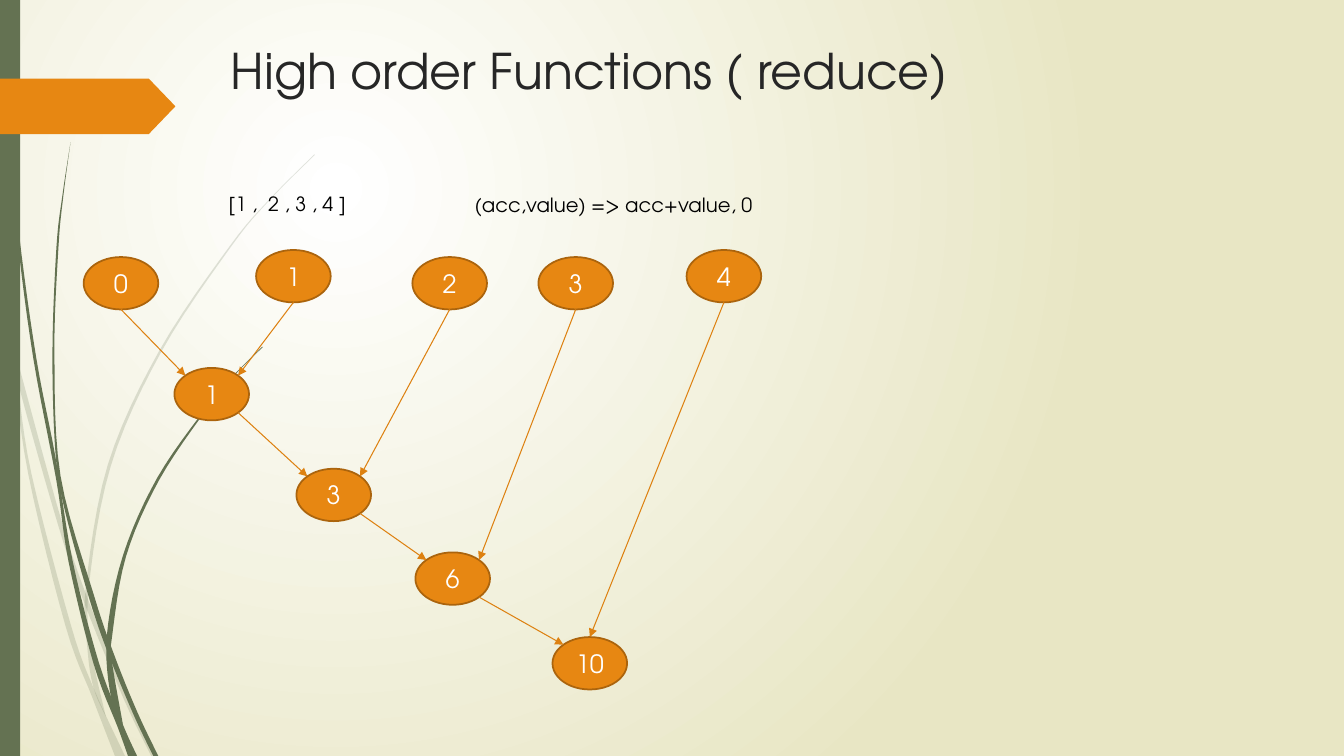
from dataclasses import dataclass
from math import sqrt

from lxml import etree
from pptx import Presentation
from pptx.dml.color import RGBColor
from pptx.enum.shapes import MSO_CONNECTOR, MSO_SHAPE
from pptx.enum.text import MSO_ANCHOR, PP_ALIGN
from pptx.oxml.ns import qn
from pptx.util import Inches, Pt

RECTANGLE, OVAL, PENTAGON = MSO_SHAPE.RECTANGLE, MSO_SHAPE.OVAL, MSO_SHAPE.PENTAGON
STRAIGHT = MSO_CONNECTOR.STRAIGHT
LEFT, CENTER = PP_ALIGN.LEFT, PP_ALIGN.CENTER
TOP, MIDDLE = MSO_ANCHOR.TOP, MSO_ANCHOR.MIDDLE
TITLE_ONLY = 5


@dataclass(frozen=True)
class Theme:
    font: str = "TeX Gyre Adventor"
    title_size: float = 35.1
    label_size: float = 14
    node_size: float = 18
    title_color: RGBColor = RGBColor.from_string("262626")
    black: RGBColor = RGBColor.from_string("000000")
    white: RGBColor = RGBColor.from_string("FFFFFF")
    cream: RGBColor = RGBColor.from_string("E8E6C4")
    green: RGBColor = RGBColor.from_string("647252")
    orange: RGBColor = RGBColor.from_string("E78712")
    outline: RGBColor = RGBColor.from_string("AB640D")
    arrow: RGBColor = RGBColor.from_string("DD8111")


THEME = Theme()
NODE_WIDTH, NODE_HEIGHT = 0.74, 0.52
DIAGONAL = sqrt(0.5)

# Sites on a node, as fractions of its half width and half height
SITE_TOP, SITE_BOTTOM = (0, -1), (0, 1)
SITE_TOP_LEFT, SITE_TOP_RIGHT = (-DIAGONAL, -DIAGONAL), (DIAGONAL, -DIAGONAL)
SITE_BOTTOM_RIGHT = (DIAGONAL, DIAGONAL)

INPUTS = [("0", 0.83, 2.55), ("1", 2.54, 2.48), ("2", 4.09, 2.55),
          ("3", 5.34, 2.55), ("4", 6.81, 2.48)]
RESULTS = [("1", 1.73, 3.65), ("3", 2.94, 4.65), ("6", 4.12, 5.48), ("10", 5.48, 6.32)]

# Each stalk is its left edge and its right edge, from tip to root
PALE_STALKS = [
    ([(0, 2.82), (0.11, 3.5), (0.28, 4.7), (0.65, 6.21), (0.92, 6.93), (1.14, 7.5)],
     [(0, 2.82), (0.09, 3.22), (0.17, 3.76), (0.31, 4.69), (0.7, 6.19), (0.93, 6.83),
      (1.24, 7.5)]),
    ([(0.14, 3.45), (0.17, 3.76), (0.58, 5.22), (0.84, 5.99), (1.23, 6.94), (1.5, 7.5)],
     [(0.14, 3.45), (0.62, 5.2), (0.92, 6.07), (1.27, 6.92), (1.55, 7.5)]),
    ([(3.12, 1.53), (2.68, 1.97), (2.28, 2.44), (1.58, 3.48), (1.07, 4.61), (0.85, 5.84),
      (0.87, 6.46), (0.93, 6.83), (1.05, 7.11)],
     [(3.12, 1.54), (2.68, 1.98), (2.29, 2.45), (1.6, 3.49), (1.1, 4.62), (0.88, 5.84),
      (0.91, 6.46), (1.05, 7.11)]),
]
DARK_STALKS = [
    ([(0.03, 0), (0.07, 1.1), (0.17, 2.33), (0.33, 3.55), (0.56, 4.77), (0.68, 5.57),
      (0.93, 6.59), (1.17, 7.22), (1.27, 7.5)],
     [(0.04, 0), (0.08, 1.09), (0.19, 2.32), (0.36, 3.55), (0.55, 4.53), (0.72, 5.56),
      (0.98, 6.57), (1.22, 7.19), (1.36, 7.5)]),
    ([(0.7, 1.41), (0.62, 1.93), (0.56, 2.45), (0.52, 3.49), (0.55, 4.49), (0.64, 5.05),
      (0.88, 5.92), (1.06, 6.45), (1.32, 7.08), (1.52, 7.5)],
     [(0.7, 1.41), (0.63, 1.93), (0.58, 2.45), (0.54, 3.49), (0.6, 4.72), (0.93, 5.9),
      (1.13, 6.49), (1.36, 7.06), (1.57, 7.5)]),
    ([(2.6, 3.44), (2.31, 3.73), (2.04, 4.05), (1.56, 4.74), (1.22, 5.51), (1.06, 6.31),
      (1.1, 6.91), (1.22, 7.19)],
     [(2.61, 3.44), (2.31, 3.74), (2.05, 4.06), (1.58, 4.76), (1.25, 5.52), (1.11, 6.33),
      (1.11, 6.56), (1.22, 7.19)]),
]


def set_background(slide):
    """Fill the slide with a round gradient centred in its upper left quarter."""
    fill = slide.background.fill
    fill.gradient()
    for stop, color in zip(fill.gradient_stops, (THEME.white, THEME.cream)):
        stop.color.rgb = color
    linear = next(slide.background._cSld.iter(qn("a:lin")))
    radial = etree.Element(qn("a:path"), {"path": "circle"})
    etree.SubElement(radial, qn("a:fillToRect"), l="50000", t="50000", r="100000", b="100000")
    linear.getparent().replace(linear, radial)


def smooth_curve(points, steps=6):
    """Return points along a Catmull-Rom curve through the given points."""
    padded = [points[0], *points, points[-1]]
    curve = [points[0]]
    for before, start, end, after in zip(padded, padded[1:], padded[2:], padded[3:]):
        for step in range(1, steps + 1):
            t = step / steps
            curve.append(tuple(
                (2 * b + (c - a) * t + (2 * a - 5 * b + 4 * c - d) * t ** 2
                 + (3 * b - a - 3 * c + d) * t ** 3) / 2
                for a, b, c, d in zip(before, start, end, after)))
    return curve


def paint(shape, color):
    shape.shadow.inherit = False
    shape.fill.solid()
    shape.fill.fore_color.rgb = color
    shape.line.fill.background()


def add_stalk(slide, edges, opacity=100):
    left_edge, right_edge = map(smooth_curve, edges)
    outline = [(Inches(x), Inches(y)) for x, y in left_edge + right_edge[::-1]]
    builder = slide.shapes.build_freeform(*outline[0])
    builder.add_line_segments(outline[1:], close=True)
    stalk = builder.convert_to_shape()
    paint(stalk, THEME.green)
    if opacity < 100:
        color = next(stalk._element.spPr.iter(qn("a:srgbClr")))
        etree.SubElement(color, qn("a:alpha"), val=str(opacity * 1000))


def add_block(slide, preset, left, top, width, height, color):
    block = slide.shapes.add_shape(preset, Inches(left), Inches(top), Inches(width), Inches(height))
    paint(block, color)
    return block


def write(frame, text, size, color, alignment=LEFT, anchor=TOP):
    frame.text = text
    frame.vertical_anchor = anchor
    paragraph = frame.paragraphs[0]
    paragraph.alignment = alignment
    paragraph.font.name = THEME.font
    paragraph.font.size = Pt(size)
    paragraph.font.color.rgb = color


def set_title(slide, text):
    title = slide.shapes.title
    title.left, title.top, title.width, title.height = map(Inches, (2.19, 0.35, 9.38, 0.95))
    write(title.text_frame, text, THEME.title_size, THEME.title_color)


def add_label(slide, text, left, top, width, height):
    label = slide.shapes.add_textbox(Inches(left), Inches(top), Inches(width), Inches(height))
    label.text_frame.word_wrap = True
    write(label.text_frame, text, THEME.label_size, THEME.black)


def add_node(slide, text, left, top):
    node = add_block(slide, OVAL, left, top, NODE_WIDTH, NODE_HEIGHT, THEME.orange)
    node.line.color.rgb = THEME.outline
    node.line.width = Pt(1.25)
    node.text_frame.word_wrap = False
    write(node.text_frame, text, THEME.node_size, THEME.white, CENTER, MIDDLE)
    return node


def site_position(node, site):
    return (round(node.left + node.width * (1 + site[0]) / 2),
            round(node.top + node.height * (1 + site[1]) / 2))


def add_arrow(slide, source, source_site, target, target_site):
    arrow = slide.shapes.add_connector(
        STRAIGHT, *site_position(source, source_site), *site_position(target, target_site))
    arrow.line.color.rgb = THEME.arrow
    arrow.line.width = Pt(0.75)
    etree.SubElement(arrow.line._get_or_add_ln(), qn("a:tailEnd"), type="triangle")
    etree.SubElement(arrow._element.spPr, qn("a:effectLst"))


def add_reduction(slide):
    """Draw each value joining the accumulator to make the next result."""
    accumulator, *values = [add_node(slide, *node) for node in INPUTS]
    results = [add_node(slide, *node) for node in RESULTS]
    accumulator_site = SITE_BOTTOM
    for value, result in zip(values, results):
        value_site = SITE_TOP if result is results[-1] else SITE_TOP_RIGHT
        add_arrow(slide, accumulator, accumulator_site, result, SITE_TOP_LEFT)
        add_arrow(slide, value, SITE_BOTTOM, result, value_site)
        accumulator, accumulator_site = result, SITE_BOTTOM_RIGHT


def main():
    presentation = Presentation()
    presentation.slide_width, presentation.slide_height = Inches(13.33), Inches(7.5)
    slide = presentation.slides.add_slide(presentation.slide_layouts[TITLE_ONLY])
    set_background(slide)
    for edges in PALE_STALKS:
        add_stalk(slide, edges, opacity=20)
    for edges in DARK_STALKS:
        add_stalk(slide, edges)
    add_block(slide, RECTANGLE, 0, 0, 0.2, 7.5, THEME.green)
    pointer = add_block(slide, PENTAGON, 0, 0.78, 1.74, 0.55, THEME.orange)
    pointer.adjustments[0] = 0.48
    set_title(slide, "High order Functions ( reduce)")
    add_label(slide, "(acc,value) => acc+value, 0", 4.61, 1.86, 3.68, 0.81)
    add_label(slide, "[1 ,  2 , 3 , 4 ]", 2.17, 1.85, 2.16, 0.34)
    add_reduction(slide)
    presentation.save("out.pptx")


if __name__ == "__main__":
    main()
